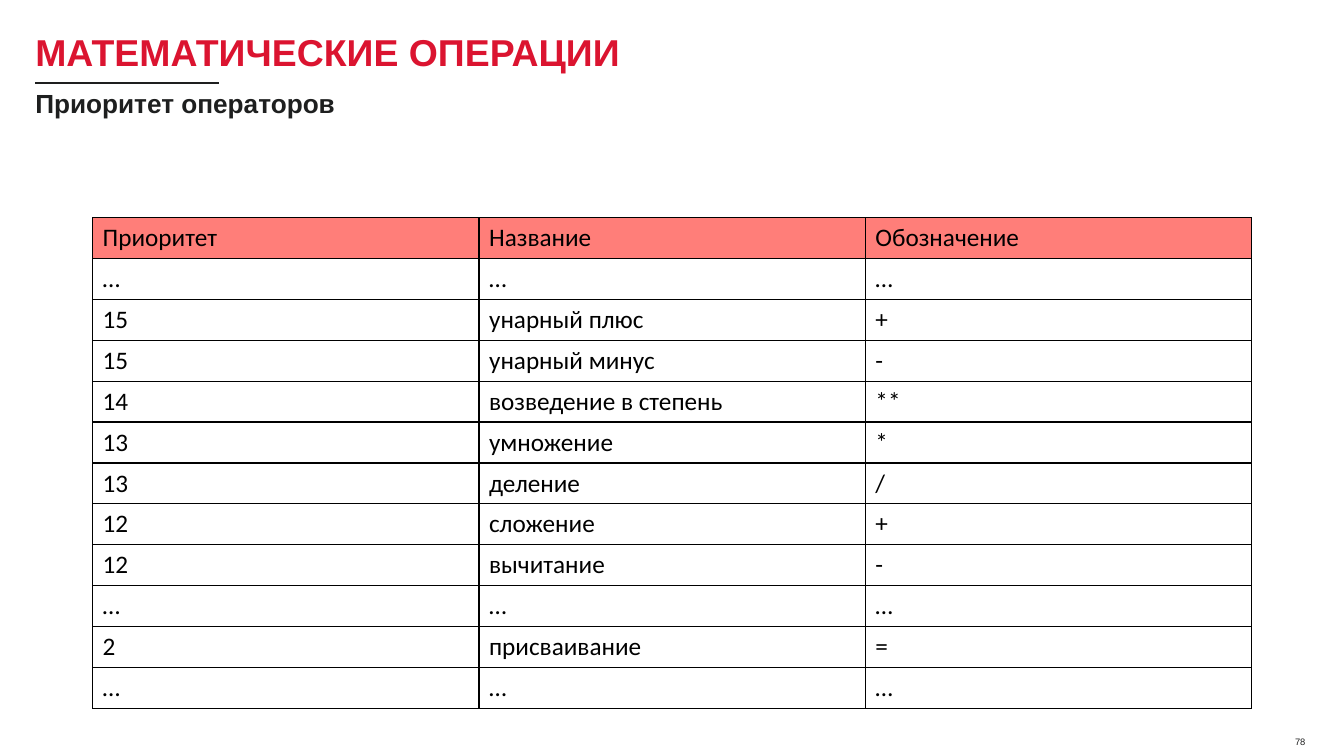
from lxml import etree
from pptx import Presentation
from pptx.dml.color import RGBColor
from pptx.enum.shapes import MSO_CONNECTOR
from pptx.enum.text import MSO_ANCHOR, MSO_AUTO_SIZE, PP_ALIGN
from pptx.oxml.ns import qn
from pptx.util import Pt

STRAIGHT = MSO_CONNECTOR.STRAIGHT
MIDDLE, BOTTOM = MSO_ANCHOR.MIDDLE, MSO_ANCHOR.BOTTOM
LEFT, RIGHT = PP_ALIGN.LEFT, PP_ALIGN.RIGHT

RED = RGBColor(0xDB, 0x14, 0x30)
DARK = RGBColor(0x1E, 0x1F, 0x1F)
BLACK = RGBColor(0x00, 0x00, 0x00)
SALMON = RGBColor(0xFF, 0x7E, 0x79)

PRIORITIES = [
    ("Приоритет", "Название", "Обозначение"),
    ("…", "…", "…"),
    ("15", "унарный плюс", "+"),
    ("15", "унарный минус", "-"),
    ("14", "возведение в степень", "**"),
    ("13", "умножение", "*"),
    ("13", "деление", "/"),
    ("12", "сложение", "+"),
    ("12", "вычитание", "-"),
    ("…", "…", "…"),
    ("2", "присваивание", "="),
    ("…", "…", "…"),
]


class SlideBuilder:
    heading_font = "Arial"
    table_font = "Calibri"

    def __init__(self, slide):
        self.slide = slide

    def style(self, paragraph, font, size, color, bold=False):
        for run in paragraph.runs:
            run.font.name = font
            run.font.size = Pt(size)
            run.font.color.rgb = color
            run.font.bold = bold

    def place(self, shape, left, top, width, height):
        shape.left, shape.top = Pt(left), Pt(top)
        shape.width, shape.height = Pt(width), Pt(height)

    def heading(self, placeholder, text, box, size, color, spacing, anchor):
        """Fill a placeholder with one bold line without a bullet."""
        self.place(placeholder, *box)
        frame = placeholder.text_frame
        frame.text = text
        frame.word_wrap = True
        frame.auto_size = MSO_AUTO_SIZE.NONE
        frame.vertical_anchor = anchor
        line = frame.paragraphs[0]
        properties = line._p.get_or_add_pPr()
        properties.set("marL", "0")
        properties.set("indent", "0")
        etree.SubElement(properties, qn("a:buNone"))
        line.alignment = LEFT
        line.line_spacing = spacing
        line.space_before = Pt(0)
        self.style(line, self.heading_font, size, color, bold=True)

    def label(self, text, box, size, color):
        frame = self.slide.shapes.add_textbox(*map(Pt, box)).text_frame
        frame.text = text
        frame.word_wrap = True
        frame.vertical_anchor = MIDDLE
        frame.paragraphs[0].alignment = RIGHT
        self.style(frame.paragraphs[0], self.heading_font, size, color)

    def rule(self, left, right, y, color, weight):
        line = self.slide.shapes.add_connector(
            STRAIGHT, Pt(left), Pt(y), Pt(right), Pt(y))
        line.line.color.rgb = color
        line.line.width = Pt(weight)
        etree.SubElement(line._element.spPr, qn("a:effectLst"))

    def borders(self, cell, color, weight):
        properties = cell._tc.get_or_add_tcPr()
        for index, side in enumerate(("lnL", "lnR", "lnT", "lnB")):
            edge = etree.Element(qn(f"a:{side}"), w=str(Pt(weight)))
            fill = etree.SubElement(edge, qn("a:solidFill"))
            etree.SubElement(fill, qn("a:srgbClr"), val=str(color))
            properties.insert(index, edge)

    def table(self, rows, left, top, width, row_height, size):
        table = self.slide.shapes.add_table(
            len(rows), len(rows[0]), Pt(left), Pt(top),
            Pt(width), Pt(row_height * len(rows))).table
        table.first_row = table.horz_banding = False
        for row_index, row in enumerate(rows):
            table.rows[row_index].height = Pt(row_height)
            for column_index, text in enumerate(row):
                cell = table.cell(row_index, column_index)
                cell.text = text
                cell.vertical_anchor = MIDDLE
                if row_index == 0:
                    cell.fill.solid()
                    cell.fill.fore_color.rgb = SALMON
                else:
                    cell.fill.background()
                self.borders(cell, BLACK, 1)
                self.style(cell.text_frame.paragraphs[0],
                           self.table_font, size, BLACK)


def main():
    deck = Presentation()
    deck.slide_width, deck.slide_height = Pt(960), Pt(540)
    slide = deck.slides.add_slide(deck.slide_layouts[1])
    for placeholder in slide.placeholders:
        if placeholder.placeholder_format.idx == 1:
            subtitle = placeholder
    builder = SlideBuilder(slide)
    builder.rule(25.2, 156.2, 59, DARK, 1.5)
    builder.heading(slide.shapes.title, "МАТЕМАТИЧЕСКИЕ ОПЕРАЦИИ",
                    (18, 23.8, 873.4, 31.7), 26.7, RED, 0.7, BOTTOM)
    builder.heading(subtitle, "Приоритет операторов",
                    (18, 62.6, 873.4, 26.6), 18.7, DARK, 0.8, MIDDLE)
    builder.label("78", (723.6, 515.5, 216, 28.8), 6.7, DARK)
    builder.table(PRIORITIES, 66.2, 155.5, 828, 29.2, 18)
    deck.save("out.pptx")


if __name__ == "__main__":
    main()
